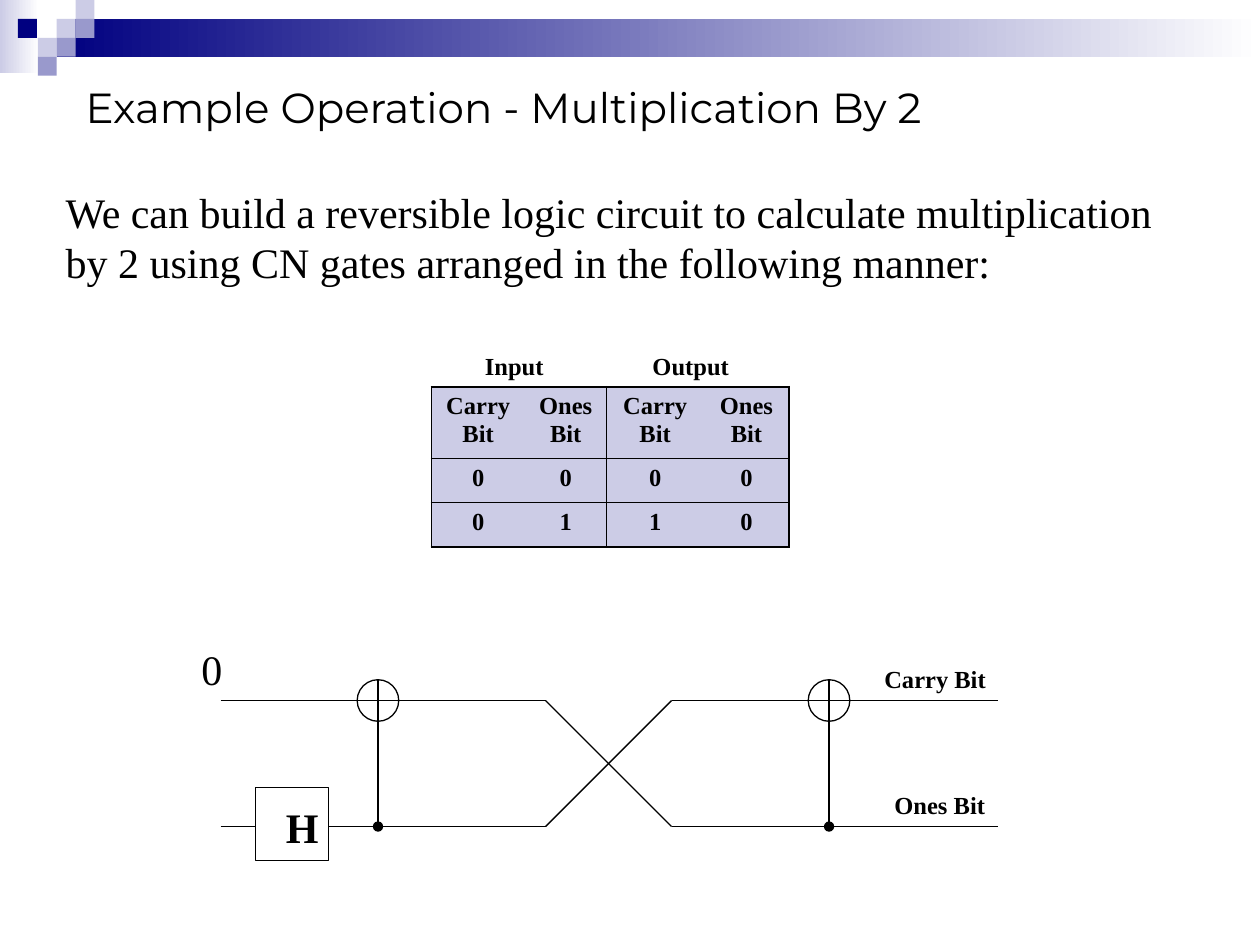
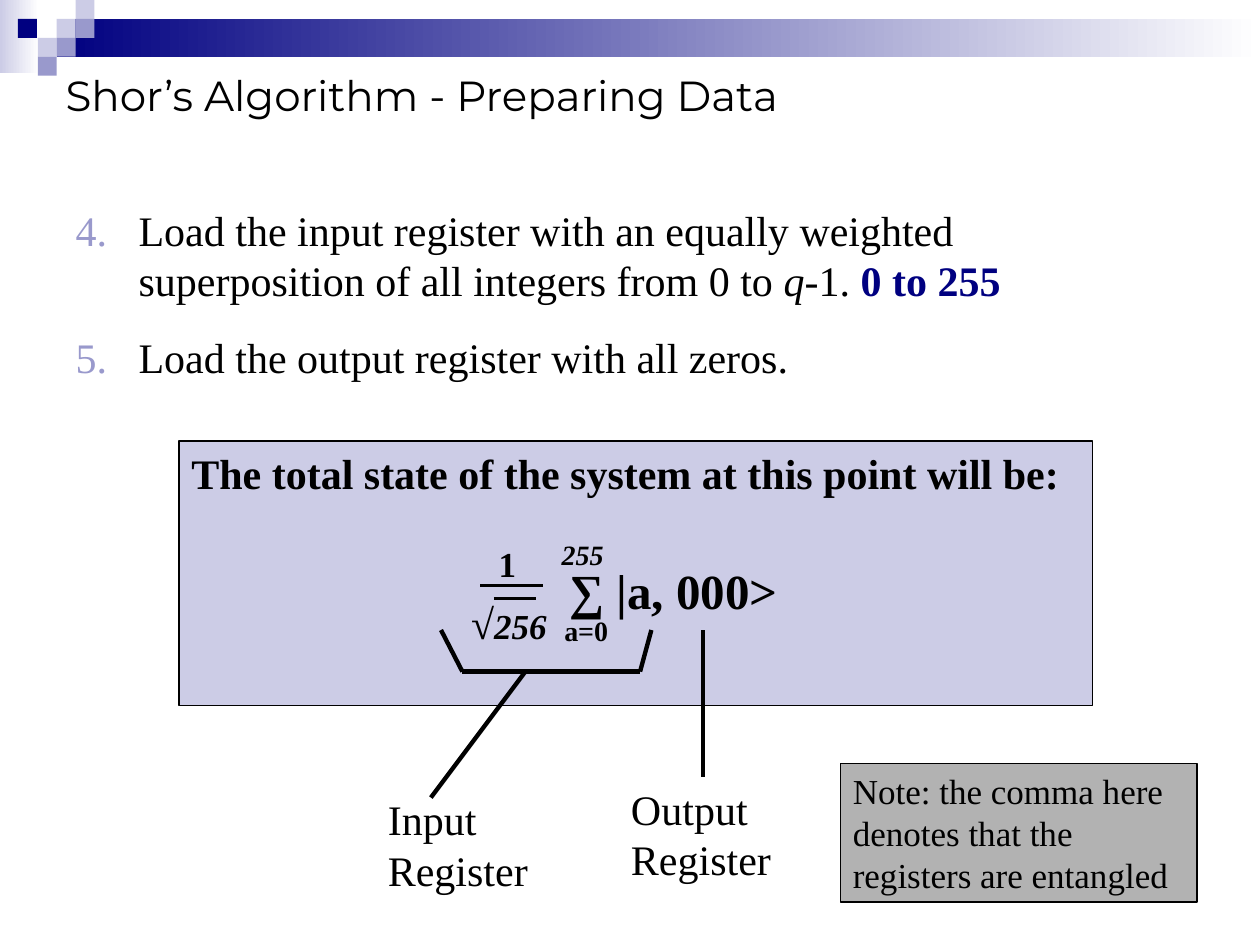
from dataclasses import dataclass

import pptx
import pptx.dml.color
import pptx.enum.shapes
import pptx.enum.text
import pptx.oxml.ns
import pptx.util
from lxml import etree

Inches = pptx.util.Inches
Pt = pptx.util.Pt
RGB = pptx.dml.color.RGBColor.from_string
SHAPE = pptx.enum.shapes.MSO_SHAPE
ALIGN = pptx.enum.text.PP_ALIGN
ANCHOR = pptx.enum.text.MSO_ANCHOR
qn = pptx.oxml.ns.qn


@dataclass(frozen=True)
class Theme:
    black: str = "000000"
    white: str = "FFFFFF"
    navy: str = "000080"
    violet: str = "9999CC"
    lilac: str = "CCCCE6"
    gray: str = "B2B2B2"
    title_font: str = "Montserrat"
    text_font: str = "Times New Roman"
    body: int = 24
    state: int = 28
    note: int = 20
    limit: int = 16
    label: int = 14
    thin: float = 0.75
    rule: float = 1.75
    thick: float = 2.5
    cell_line: float = 0.45
    frame_line: float = 1.08


def apply(target, values):
    for name, value in values.items():
        setattr(target, name, value)


def add_xml(parent, tag, **attributes):
    return etree.SubElement(parent, qn(tag), attributes)


class Deck:
    def __init__(self, theme):
        self.theme = theme
        self.prs = pptx.Presentation()
        apply(self.prs, {"slide_width": Inches(10), "slide_height": Inches(7.5)})
        self.slide = None

    def new_slide(self, title, left, top, height, width=9):
        first = self.slide is None
        self.slide = self.prs.slides.add_slide(self.prs.slide_layouts[1])
        if first:
            self.master_band()
        heading = self.slide.shapes.title
        self.place(heading, left, top, width, height)
        self.fill_text(heading, [title], font=self.theme.title_font, anchor=ANCHOR.MIDDLE)

    def master_band(self):
        """Draw the header band once and move it to the slide master."""
        t = self.theme
        step = 0.15
        parts = [self.gradient(0, 0, 0.31, 0.58, t.lilac),
                 self.gradient(0.45, step, 9.55, 2 * step, t.navy)]
        squares = [(3, 1, t.lilac), (4, 0, t.lilac), (4, 1, t.violet), (2, 2, t.lilac),
                   (0.95, 1, t.navy), (3, 2, t.violet), (2, 3, t.violet)]
        for column, row, color in squares:
            parts.append(self.shape(SHAPE.RECTANGLE, column * step, row * step,
                                    step, step, fill=color, line=None))
        tree = self.prs.slide_master.shapes.element
        for order, part in enumerate(parts):
            part.element.nvSpPr.cNvPr.set("id", str(101 + order))
            tree.insert(2 + order, part.element)

    def place(self, item, left, top, width, height):
        apply(item, {"left": Inches(left), "top": Inches(top),
                     "width": Inches(width), "height": Inches(height)})

    def fill_text(self, item, paragraphs, size=None, font=None, align=ALIGN.LEFT,
                  anchor=ANCHOR.TOP, gap=15, **style):
        """Fill a frame; a paragraph is a string or a list of (text, format)."""
        frame = item.text_frame
        apply(frame, {"word_wrap": True, "vertical_anchor": anchor,
                      "auto_size": pptx.enum.text.MSO_AUTO_SIZE.NONE})
        for index, content in enumerate(paragraphs):
            paragraph = frame.add_paragraph() if index else frame.paragraphs[0]
            apply(paragraph, {"alignment": align, "space_before": Pt(gap if index else 0)})
            runs = [(content, {})] if isinstance(content, str) else content
            for text, changes in runs:
                values = {"size": size or self.theme.body, "color": self.theme.black,
                          "name": font or self.theme.text_font, **style, **changes}
                run = paragraph.add_run()
                run.text = text
                run.font.color.rgb = RGB(values.pop("color"))
                values["size"] = Pt(values["size"])
                apply(run.font, values)

    def text(self, content, left, top, width, height, **style):
        box = self.slide.shapes.add_textbox(*map(Inches, (left, top, width, height)))
        self.fill_text(box, [content], **style)
        return box

    def body(self, paragraphs, left, top, width, height, start=None):
        """Fill the body placeholder, numbered from start if it is given."""
        body = self.slide.placeholders[1]
        self.place(body, left, top, width, height)
        self.fill_text(body, paragraphs)
        indent = Inches(0.5) if start else 0
        for paragraph in body.text_frame.paragraphs:
            props = paragraph._p.get_or_add_pPr()
            props.set("marL", str(indent))
            props.set("indent", str(-indent))
            if start:
                add_xml(add_xml(props, "a:buClr"), "a:srgbClr", val=self.theme.violet)
                add_xml(props, "a:buFont", typeface=self.theme.text_font)
                add_xml(props, "a:buAutoNum", type="arabicPeriod", startAt=str(start))
            else:
                add_xml(props, "a:buNone")

    def shape(self, kind, left, top, width, height, fill=None, line=Theme.black):
        item = self.slide.shapes.add_shape(kind, *map(Inches, (left, top, width, height)))
        item.shadow.inherit = False
        if fill:
            item.fill.solid()
            item.fill.fore_color.rgb = RGB(fill)
        else:
            item.fill.background()
        if line:
            item.line.color.rgb = RGB(line)
            item.line.width = Pt(self.theme.thin)
        else:
            item.line.fill.background()
        return item

    def gradient(self, left, top, width, height, color):
        item = self.shape(SHAPE.RECTANGLE, left, top, width, height, line=None)
        item.fill.gradient()
        item.fill.gradient_angle = 0
        for stop, (shade, position) in zip(item.fill.gradient_stops,
                                           ((color, 0), (self.theme.white, 1))):
            stop.color.rgb = RGB(shade)
            stop.position = position
        return item

    def panel(self, content, left, top, width, height, fill, **style):
        item = self.shape(SHAPE.RECTANGLE, left, top, width, height, fill=fill)
        self.fill_text(item, [content], **style)

    def line(self, x1, y1, x2, y2, width=None, dot=False):
        link = self.slide.shapes.add_connector(
            pptx.enum.shapes.MSO_CONNECTOR.STRAIGHT, *map(Inches, (x1, y1, x2, y2)))
        link.line.color.rgb = RGB(self.theme.black)
        link.line.width = Pt(width or self.theme.thin)
        props = link.element.spPr
        if dot:
            add_xml(props.find(qn("a:ln")), "a:tailEnd", type="oval")
        add_xml(props, "a:effectLst")
        return link

    def truth_table(self, rows, left, top, widths, heights, group=2):
        """Table with rules between rows and between groups of columns."""
        t = self.theme
        table = self.slide.shapes.add_table(
            len(rows), len(widths), Inches(left), Inches(top),
            Inches(sum(widths)), Inches(sum(heights))).table
        apply(table, {"first_row": False, "horz_banding": False})
        for column, width in zip(table.columns, widths):
            column.width = Inches(width)
        for row, height in zip(table.rows, heights):
            row.height = Inches(height)
        last_row, last_column = len(rows) - 1, len(widths) - 1
        for r, values in enumerate(rows):
            for c, value in enumerate(values):
                cell = table.cell(r, c)
                self.fill_cell(cell, value)
                edges = {
                    "L": 0 if c % group else t.cell_line,
                    "R": t.frame_line if c == last_column
                    else t.cell_line if c % group == group - 1 else 0,
                    "T": t.cell_line if r else t.frame_line,
                    "B": t.frame_line if r == last_row else t.cell_line}
                self.borders(cell, edges)

    def fill_cell(self, cell, value):
        cell.fill.solid()
        cell.fill.fore_color.rgb = RGB(self.theme.lilac)
        paragraph = cell.text_frame.paragraphs[0]
        paragraph.alignment = ALIGN.CENTER
        run = paragraph.add_run()
        run.text = value
        run.font.color.rgb = RGB(self.theme.black)
        apply(run.font, {"size": Pt(self.theme.label), "bold": True,
                         "name": self.theme.text_font})

    def borders(self, cell, edges):
        props = cell._tc.get_or_add_tcPr()
        for order, (side, width) in enumerate(edges.items()):
            edge = etree.Element(qn(f"a:ln{side}"), {"w": str(int(Pt(width)))})
            if width:
                add_xml(add_xml(edge, "a:solidFill"), "a:srgbClr", val=self.theme.black)
            else:
                add_xml(edge, "a:noFill")
            props.insert(order, edge)


def multiplication_slide(deck):
    t = deck.theme
    deck.new_slide("Example Operation - Multiplication By 2", 0.58, 0.64, 0.42)
    deck.body(["We can build a reversible logic circuit to calculate multiplication "
               "by 2 using CN gates arranged in the following manner:"],
              0.42, 1.43, 9.17, 0.9)

    # Truth table with its group headings
    label = {"size": t.label, "bold": True}
    deck.text("Input", 3.75, 2.74, 0.73, 0.34, **label)
    deck.text("Output", 5.08, 2.74, 0.92, 0.34, **label)
    deck.truth_table([["Carry Bit", "Ones Bit"] * 2, list("0000"), list("0110")],
                     3.42, 3.07, (0.75, 0.64, 0.78, 0.67), (0.57, 0.35, 0.35))

    # Wires, crossing in the middle
    carry, ones = 5.56, 6.56
    start, cross_in, cross_out, end = 1.75, 4.33, 5.33, 7.92
    for wire, other in ((carry, ones), (ones, carry)):
        deck.line(start, wire, cross_in, wire)
        deck.line(cross_in, wire, cross_out, other)
        deck.line(cross_out, wire, end, wire)

    # Controlled-not gates
    diameter = 0.33
    radius = diameter / 2
    for gate in (3, 6.58):
        deck.shape(SHAPE.FLOWCHART_OR, gate - radius, carry - radius, diameter, diameter)
        deck.line(gate, carry + radius, gate, ones, dot=True)

    # Hadamard gate and wire labels
    deck.shape(SHAPE.RECTANGLE, 2.03, 6.25, 0.58, 0.58, fill=t.white)
    deck.text("H", 2.17, 6.31, 0.33, 0.5, bold=True, align=ALIGN.CENTER)
    deck.text("0", 1.5, 5.06, 0.33, 0.5)
    deck.text("Carry Bit", 6.92, 5.22, 1.17, 0.34, **label)
    deck.text("Ones Bit", 7, 6.22, 1.08, 0.34, **label)


def preparing_data_slide(deck):
    t = deck.theme
    deck.new_slide("Shor’s Algorithm - Preparing Data", 0.42, 0.5, 0.5)
    deck.body([
        [("Load the input register with an equally weighted superposition "
          "of all integers from 0 to ", {}), ("q", {"italic": True}), ("-1. ", {}),
         ("0 to 255", {"color": t.navy, "bold": True})],
        "Load the output register with all zeros."], 0.5, 1.57, 8.92, 1.51, start=4)

    # State formula
    deck.panel("The total state of the system at this point will be:",
               1.42, 3.5, 7.25, 2.1, t.lilac, bold=True)
    deck.line(3.81, 4.65, 4.31, 4.65, t.rule)
    deck.line(3.92, 4.75, 4.25, 4.75, t.rule)
    root = [("√", {}), ("256", {"size": t.note, "italic": True})]
    for part, place, style in (
            ("1", (3.86, 4.26, 0.33, 0.44), {"size": t.note}),
            (root, (3.64, 4.69, 1.03, 0.5), {}),
            ("∑ |a, 000>", (4.42, 4.4, 2.08, 0.57), {"size": t.state}),
            ("a=0", (4.38, 4.82, 0.58, 0.37), {"size": t.limit}),
            ("255", (4.36, 4.22, 0.58, 0.37), {"size": t.limit, "italic": True})):
        deck.text(part, *place, bold=True, **style)

    # Bracket under the input register, and its pointer
    bracket = 5.33
    for ends in ((3.67, bracket, 5.08, bracket), (5.08, bracket, 5.17, 5),
                 (3.67, bracket, 3.5, 5), (4.17, bracket, 3.42, 6.33)):
        deck.line(*ends, t.thick)
    deck.text("Input Register", 2.98, 6.25, 1.35, 0.9)

    # Output register and its pointer
    output_register = deck.text("Output Register", 4.91, 6.17, 1.34, 0.9)
    output_pointer = deck.line(5.58, 5, 5.58, 6.17, t.thick)
    output_pointer.end_connect(output_register, 0)

    deck.panel("Note: the comma here denotes that the registers are entangled",
               6.67, 6.06, 2.83, 1.1, t.gray, size=t.note)


def main():
    deck = Deck(Theme())
    multiplication_slide(deck)
    preparing_data_slide(deck)
    deck.prs.save("out.pptx")


if __name__ == "__main__":
    main()
